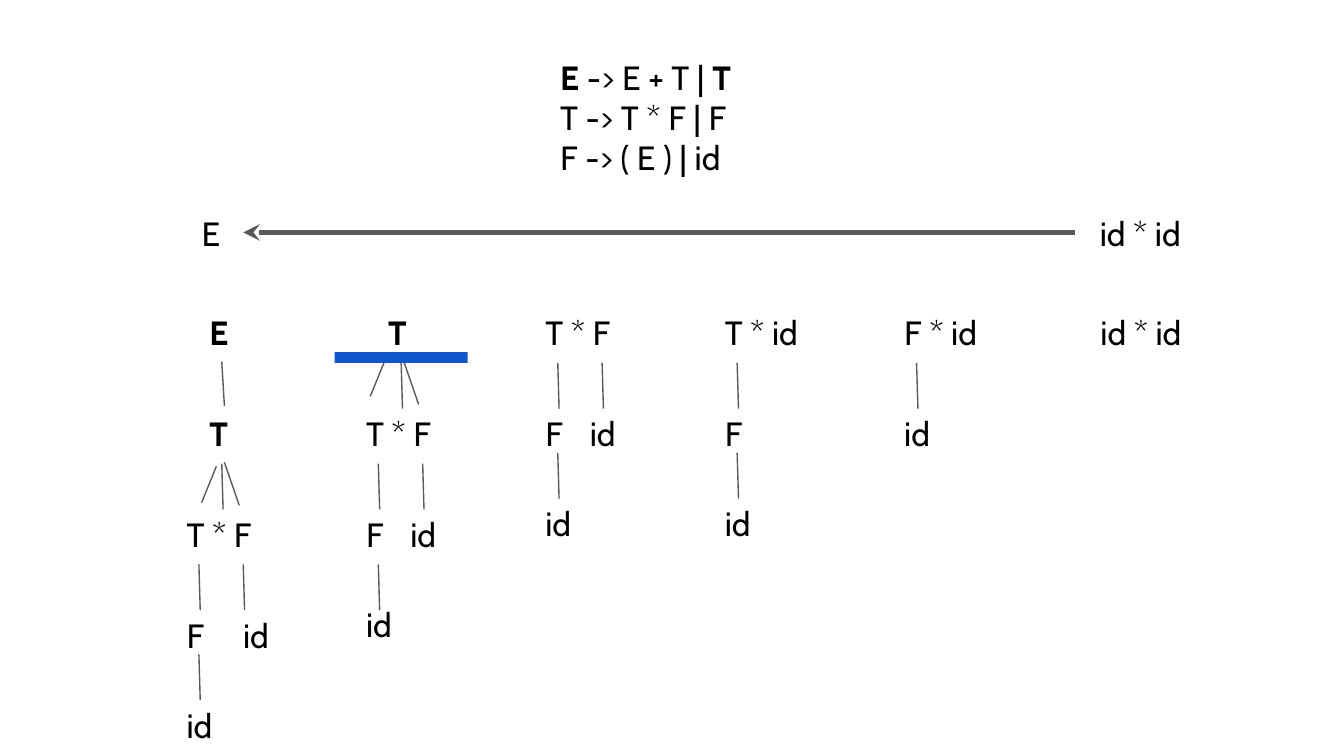
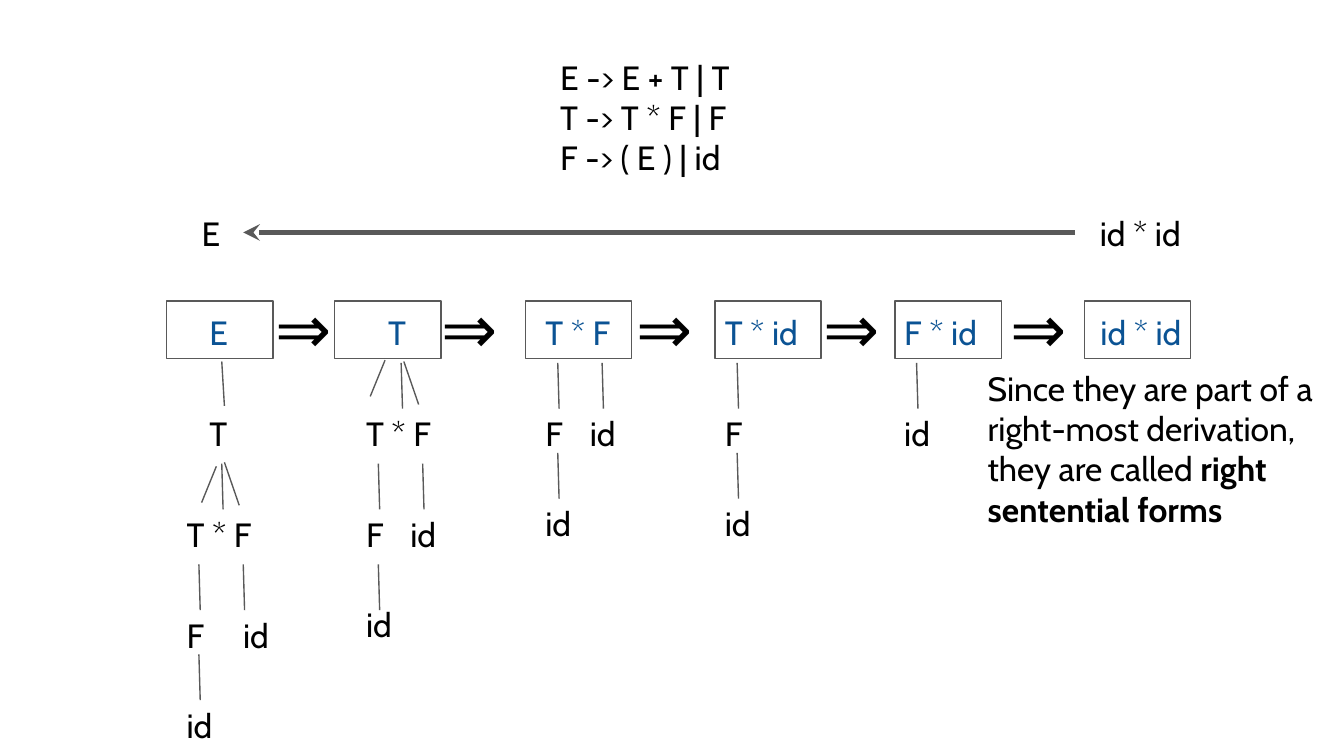
import dataclasses

import lxml.etree
import pptx
import pptx.dml.color
import pptx.enum.shapes
import pptx.enum.text
import pptx.oxml.ns
import pptx.util

Inches = pptx.util.Inches
Pt = pptx.util.Pt
ALIGN = pptx.enum.text.PP_ALIGN
ANCHOR = pptx.enum.text.MSO_ANCHOR


@dataclasses.dataclass(frozen=True)
class Theme:
    font: str = "Cabin"
    ink: str = "000000"
    rule: str = "595959"
    form: str = "0B5394"
    handle: str = "1155CC"
    body_size: float = 18
    implies_size: float = 36
    thin: float = 0.75
    thick: float = 3
    inset: float = 0.1


# Shared grid: tree columns, row steps and symbol boxes
COLUMNS = [1.29 + 1.335 * i for i in range(5)]
FORM_TOP = 2.26
LEVEL = 0.75
LEAF_LEVEL = 1.42
ROW_H = 0.43
SYMBOL_W = 0.97
STEM_X = 0.19
STEM_TOP = 0.44
LEAF_STEM_TOP = 0.36
SIBLING = 0.33


def rgb(value):
    return pptx.dml.color.RGBColor.from_string(value)


def apply(target, formats):
    for name, value in formats.items():
        setattr(target, name, value)


class Board:
    """Holds the theme and the current slide."""

    def __init__(self, deck, theme):
        self.deck, self.theme = deck, theme
        self.slide = None

    def new_slide(self):
        self.slide = self.deck.slides.add_slide(self.deck.slide_layouts[6])

    def text(self, left, top, content, width=SYMBOL_W, height=ROW_H, size=None,
             color=None, bold=False, align=ALIGN.LEFT, anchor=ANCHOR.MIDDLE):
        """content is a word, or a list of lines made of (text, bold) runs."""
        lines = [[(content, bold)]] if isinstance(content, str) else content
        box = self.slide.shapes.add_textbox(
            Inches(left), Inches(top), Inches(width), Inches(height))
        frame = box.text_frame
        margins = {f"margin_{side}": Inches(self.theme.inset)
                   for side in ("left", "top", "right", "bottom")}
        apply(frame, {"word_wrap": True, "vertical_anchor": anchor, **margins})
        for i, line in enumerate(lines):
            paragraph = frame.add_paragraph() if i else frame.paragraphs[0]
            paragraph.alignment = align
            for words, heavy in line:
                run = paragraph.add_run()
                run.text = words
                apply(run.font, {"name": self.theme.font, "bold": heavy,
                                 "size": Pt(size or self.theme.body_size)})
                run.font.color.rgb = rgb(color or self.theme.ink)

    def line(self, start, end, width=None, arrow=False):
        link = self.slide.shapes.add_connector(
            pptx.enum.shapes.MSO_CONNECTOR.STRAIGHT,
            *(Inches(value) for value in (*start, *end)))
        link.line.width = Pt(width or self.theme.thin)
        link.line.color.rgb = rgb(self.theme.rule)
        properties = link._element.spPr
        if arrow:
            outline = properties.find(pptx.oxml.ns.qn("a:ln"))
            lxml.etree.SubElement(
                outline, pptx.oxml.ns.qn("a:tailEnd"), type="stealth")
        lxml.etree.SubElement(properties, pptx.oxml.ns.qn("a:effectLst"))

    def rect(self, left, top, width, height, fill=None):
        box = self.slide.shapes.add_shape(
            pptx.enum.shapes.MSO_SHAPE.RECTANGLE,
            Inches(left), Inches(top), Inches(width), Inches(height))
        box.shadow.inherit = False
        if fill:
            box.fill.solid()
            box.fill.fore_color.rgb = rgb(fill)
            box.line.fill.background()
        else:
            box.fill.background()
            box.line.color.rgb = rgb(self.theme.rule)
            box.line.width = Pt(self.theme.thin)

    # Parse tree parts
    def stem(self, left, top, drop=STEM_TOP):
        """Branch that hangs below the symbol placed at left, top."""
        x, y = left + STEM_X, top + drop
        self.line((x, y), (x + 0.01, y + 0.34))

    def factor(self, left, top, leaf_stem=LEAF_STEM_TOP):
        """F - id under the symbol placed at left, top."""
        self.stem(left, top)
        self.text(left, top + LEVEL, "F", width=0.39)
        self.stem(left, top + LEVEL, leaf_stem)
        self.text(left, top + LEAF_LEVEL, "id")

    def product(self, left, top, leaf_offset=SIBLING,
                leaf_stem=LEAF_STEM_TOP, color=None):
        """T * F with its subtrees F - id and id."""
        self.text(left, top, "T * F", color=color)
        self.factor(left, top, leaf_stem)
        self.stem(left + SIBLING, top)
        self.text(left + leaf_offset, top + LEVEL, "id", width=0.55)

    def fan(self, left, top, first_shift=(0, 0)):
        """Three branches that lead down to T * F at left, top."""
        dx, dy = first_shift
        for x1, y1, x2, y2 in ((0.32 + dx, -0.29 + dy, 0.21 + dx, -0.02 + dy),
                               (0.36, -0.31, 0.37, 0.03),
                               (0.38, -0.32, 0.49, 0)):
            self.line((left + x1, top + y1), (left + x2, top + y2))

    def reduction(self, form_color, bold_unit):
        """Grammar, reduction arrow and the six trees of id * id."""
        self.new_slide()

        # Grammar
        first_rule = ([("E", True), (" -> E + T | ", False), ("T", True)]
                      if bold_unit else [("E -> E + T | T", False)])
        self.text(4.07, 0.32, [
            first_rule,
            [("T -> T * F | F", False)],
            [("F -> ( E ) | id", False)],
        ], width=2.33, anchor=ANCHOR.TOP)

        # Direction of the reduction
        self.text(8, 1.52, "id * id", align=ALIGN.CENTER)
        self.text(1.34, 1.52, "E", width=0.46, align=ALIGN.CENTER)
        self.line((8, 1.73), (1.81, 1.73), self.theme.thick, arrow=True)

        # Sentential forms
        e_left, t_left, product_left, t_id_left, f_id_left = COLUMNS
        unit = {"color": form_color, "bold": bold_unit}
        self.text(1.46, FORM_TOP, "E", **unit)
        self.text(2.79, FORM_TOP, "T", **unit)
        self.text(t_id_left, FORM_TOP, "T * id", color=form_color)
        self.text(f_id_left, FORM_TOP, "F * id", color=form_color)
        self.text(8.09, FORM_TOP, "id * id", color=form_color)

        # Trees below the forms
        self.line((1.65, 2.69), (1.67, 3.02))
        self.text(1.46, FORM_TOP + LEVEL, "T", bold=bold_unit)
        self.fan(e_left, FORM_TOP + 2 * LEVEL)
        self.product(e_left, FORM_TOP + 2 * LEVEL, leaf_offset=0.42)
        self.fan(t_left, FORM_TOP + LEVEL, first_shift=(-0.08, -0.04))
        self.product(t_left, FORM_TOP + LEVEL, leaf_stem=STEM_TOP)
        self.product(product_left, FORM_TOP, color=form_color)
        self.factor(t_id_left, FORM_TOP)
        self.stem(f_id_left, FORM_TOP)
        self.text(f_id_left, FORM_TOP + LEVEL, "id")


def main():
    deck = pptx.Presentation()
    width = Inches(10)
    apply(deck, {"slide_width": width, "slide_height": width * 9 // 16})
    theme = Theme()
    board = Board(deck, theme)

    # Slide 1: T is reduced to E
    board.reduction(theme.ink, bold_unit=True)
    board.rect(2.49, 2.62, 0.99, 0.08, fill=theme.handle)

    # Slide 2: right sentential forms
    board.reduction(theme.form, bold_unit=False)
    for implies_left in (1.95, 3.19, 4.64, 6.03, 7.42):
        board.text(implies_left, 2.03, "⇒", width=0.69, height=0.9,
                   size=theme.implies_size, anchor=ANCHOR.TOP)
    for form_left in (1.24, 2.49, 3.91, 5.32, 6.66, 8.07):
        board.rect(form_left, 2.24, 0.79, ROW_H)
    board.text(7.25, 3.12, [
        [("Since they are part of a", False)],
        [("right-most derivation,", False)],
        [("they are called ", False), ("right sentential forms", True)],
    ], width=2.75)

    deck.save("out.pptx")


if __name__ == "__main__":
    main()
